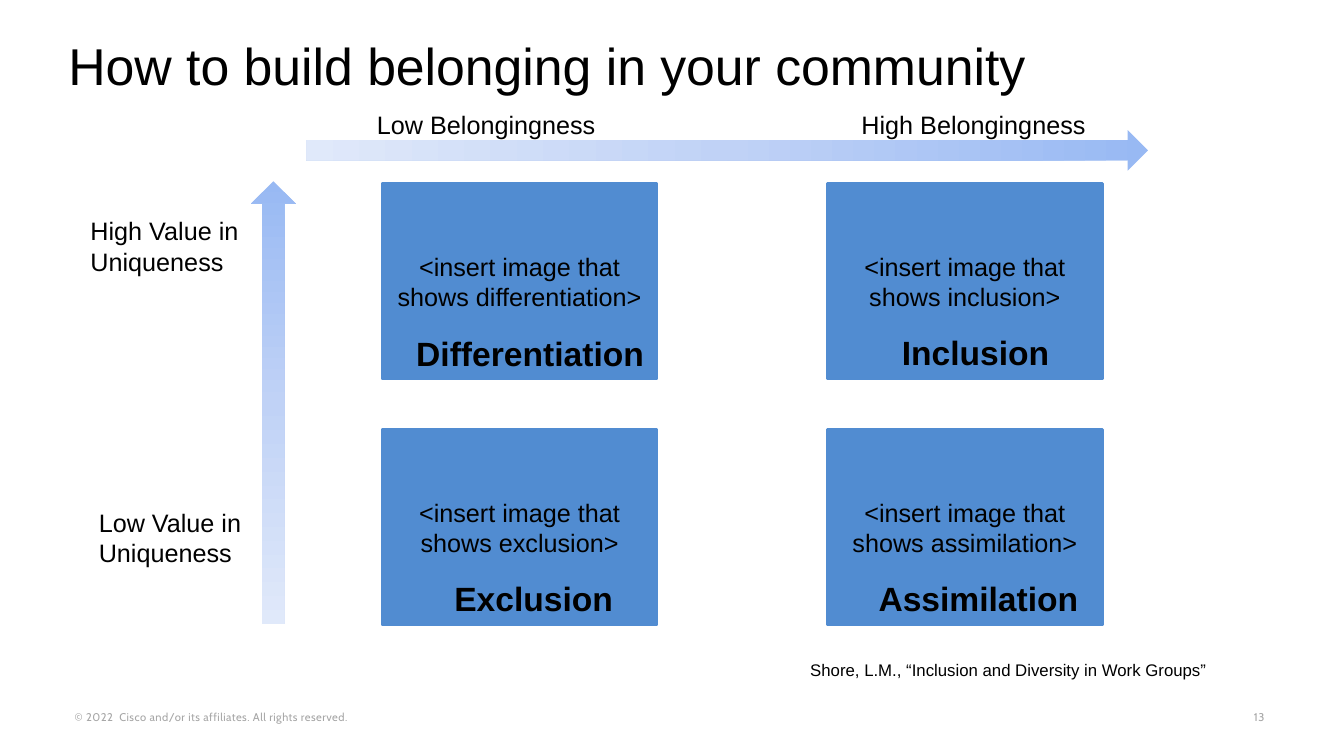
"""Build the belonging and uniqueness matrix slide."""
from copy import deepcopy

from pptx import Presentation
from pptx.dml.color import RGBColor
from pptx.enum.shapes import MSO_SHAPE as SHAPE
from pptx.enum.text import MSO_ANCHOR as ANCHOR, MSO_AUTO_SIZE as AUTO, PP_ALIGN as ALIGN
from pptx.oxml.ns import qn
from pptx.util import Cm, Pt

BLACK = RGBColor(0x00, 0x00, 0x00)
GREY = RGBColor(0xA6, 0xA6, 0xA6)
BLUE = RGBColor(0x51, 0x8C, 0xD1)
FADE = (RGBColor(0x98, 0xB9, 0xF3), RGBColor(0xC0, 0xD2, 0xF6), RGBColor(0xE0, 0xE9, 0xFA))

BOX_W, BOX_H = 6.93, 4.93
COLUMNS = (9.63, 20.85)
ROWS = (4.62, 10.82)
QUADRANTS = (
    (0, 0, "Differentiation", 10.24, 8.26, 6.3),
    (1, 0, "Inclusion", 22.48, 8.23, 4.27),
    (0, 1, "Exclusion", 11.2, 14.45, 4.55),
    (1, 1, "Assimilation", 21.89, 14.45, 5.59),
)
AXIS_LABELS = (
    ("Low Belongingness", 9.25, 2.62, 6.07, 1.02),
    ("High Belongingness", 21.46, 2.62, 6.22, 1.02),
    ("High Value in\vUniqueness", 2.03, 5.31, 4.27, 1.8),
    ("Low Value in\vUniqueness", 2.24, 12.65, 4.14, 1.8),
)
FOOTERS = (
    ("© 2022  Cisco and/or its affiliates. All rights reserved.", 1.88, 12.6),
    ("13", 31.6, 0.36),
)


def write(tf, text, size, color=BLACK, bold=False, font="Arial"):
    """Fill a text frame with one formatted paragraph and return it."""
    tf.text = text
    p = tf.paragraphs[0]
    for r in p.runs:
        r.font.name = font
        r.font.size = Pt(size)
        r.font.bold = bold
        r.font.color.rgb = color
    return p


def add_label(s, text, x, y, w, h, size=18, **style):
    """Add an unwrapped text box."""
    sp = s.shapes.add_textbox(Cm(x), Cm(y), Cm(w), Cm(h))
    tf = sp.text_frame
    tf.word_wrap = False
    write(tf, text, size, **style)
    return tf


def add_footer(s, text, x, w):
    """Add a small letter-spaced text at the foot of the slide."""
    tf = add_label(s, text, x, 17.91, w, 0.33, size=8, color=GREY, font="Cabin")
    tf.word_wrap = w > 1
    tf.vertical_anchor = ANCHOR.BOTTOM
    tf.margin_left = tf.margin_right = tf.margin_top = tf.margin_bottom = 0
    for r in tf.paragraphs[0].runs:
        r._r.get_or_add_rPr().set("spc", "30")


def add_box(s, x, y, text):
    """Add a blue quadrant box with centred text."""
    sp = s.shapes.add_shape(SHAPE.RECTANGLE, Cm(x), Cm(y), Cm(BOX_W), Cm(BOX_H))
    sp.shadow.inherit = False
    sp.fill.solid()
    sp.fill.fore_color.rgb = BLUE
    sp.line.color.rgb = BLUE
    sp.line.width = Pt(2)
    sp.text_frame.vertical_anchor = ANCHOR.MIDDLE
    write(sp.text_frame, text, 18).alignment = ALIGN.CENTER


def add_arrow(s, kind, x, y, w, h, angle):
    """Add a block arrow that fades towards its tail."""
    sp = s.shapes.add_shape(kind, Cm(x), Cm(y), Cm(w), Cm(h))
    sp.shadow.inherit = False
    sp.line.fill.background()
    sp.fill.gradient()
    sp.fill.gradient_angle = angle
    gs_list = sp._element.spPr.find(qn("a:gradFill")).find(qn("a:gsLst"))
    gs_list.insert(1, deepcopy(gs_list[0]))
    for i, (stop, color) in enumerate(zip(sp.fill.gradient_stops, FADE)):
        stop.position = i / 2
        stop.color.rgb = color


def set_title(s, text):
    """Place and format the title placeholder."""
    sp = s.shapes.title
    sp.left, sp.top, sp.width, sp.height = Cm(1.47), Cm(0.41), Cm(30.91), Cm(2.72)
    tf = sp.text_frame
    tf.auto_size = AUTO.NONE
    tf.vertical_anchor = ANCHOR.MIDDLE
    p = write(tf, text, 37)
    p.alignment = ALIGN.LEFT
    p.line_spacing = 0.8


def main():
    """Build and save the slide."""
    prs = Presentation()
    prs.slide_width, prs.slide_height = Cm(33.87), Cm(19.05)
    s = prs.slides.add_slide(prs.slide_layouts[5])
    set_title(s, "How to build belonging in your community")
    for footer in FOOTERS:
        add_footer(s, *footer)
    for col, row, name, x, y, w in QUADRANTS:
        add_box(s, COLUMNS[col], ROWS[row], f"<insert image that shows {name.lower()}>")
        add_label(s, name, x, y, w, 1.27, size=24, bold=True)
    for label in AXIS_LABELS:
        add_label(s, *label)
    add_label(s, "Shore, L.M., “Inclusion and Diversity in Work Groups”",
              20.17, 16.51, 10.59, 0.76, size=12)
    add_arrow(s, SHAPE.UP_ARROW, 6.32, 4.57, 1.14, 11.15, 270)
    add_arrow(s, SHAPE.RIGHT_ARROW, 7.72, 3.28, 21.21, 1.02, 180)
    prs.save("out.pptx")


if __name__ == "__main__":
    main()
